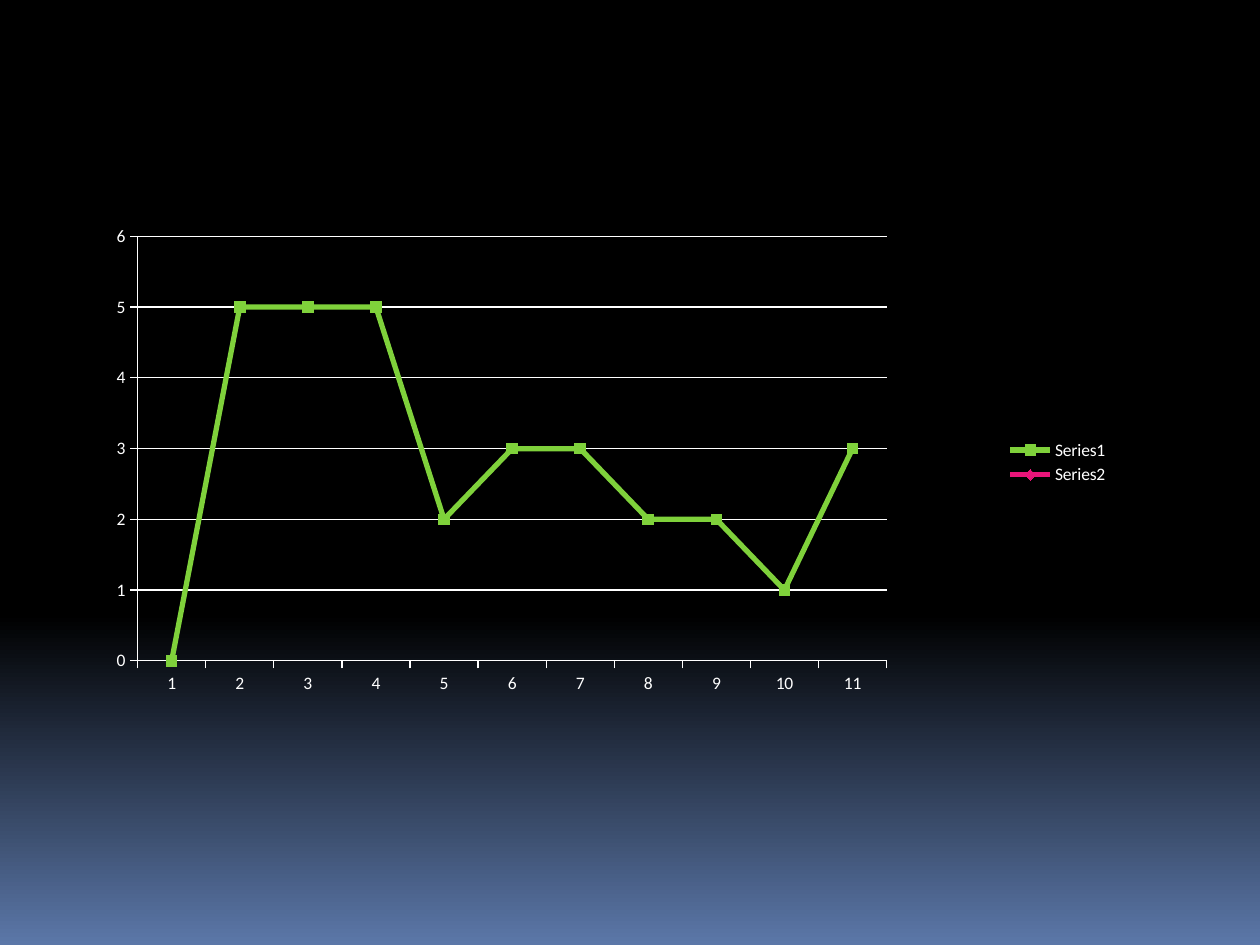
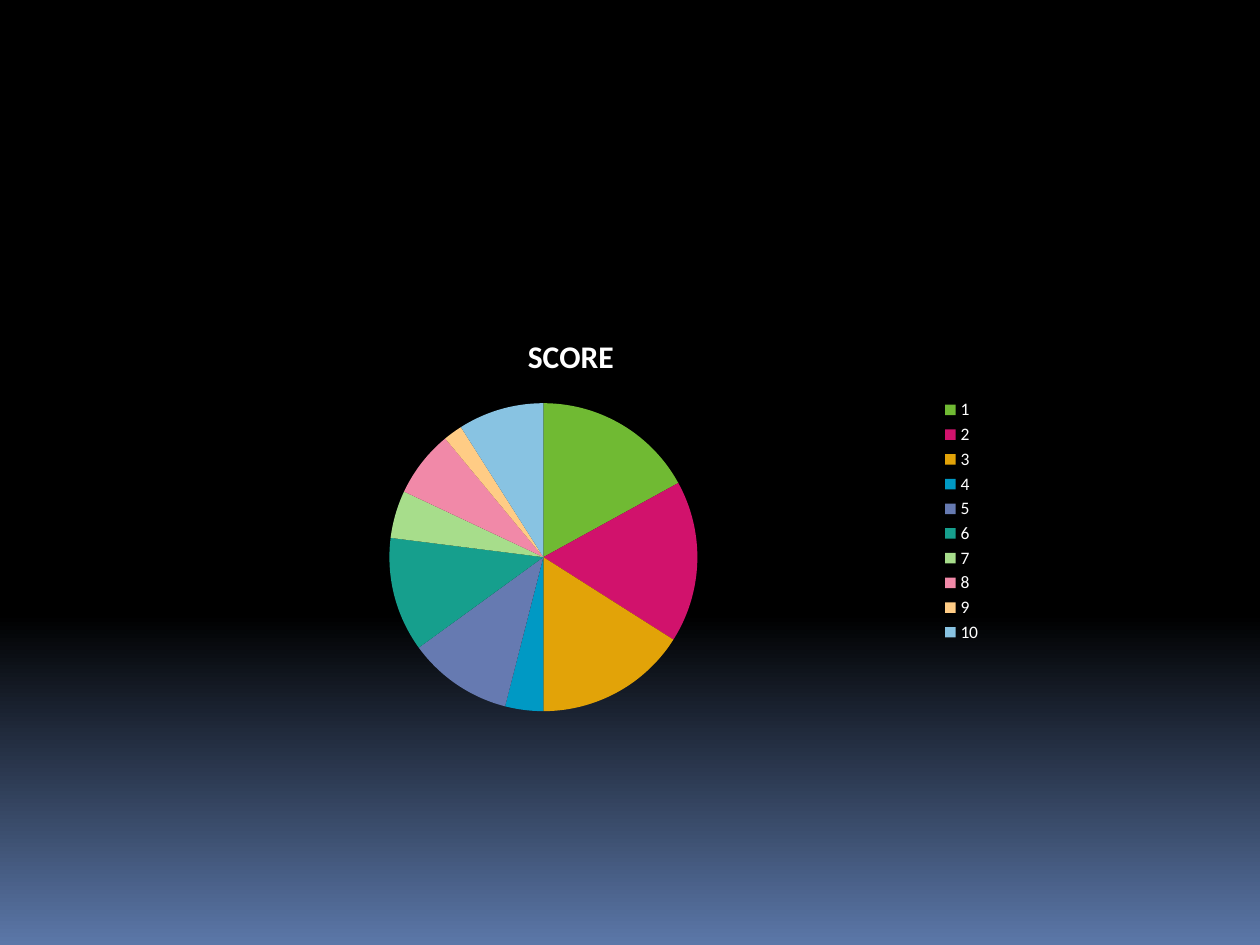
from dataclasses import dataclass
from typing import Any

from lxml.etree import SubElement
from pptx import Presentation
from pptx.chart.data import CategoryChartData as ChartData
from pptx.dml.color import RGBColor
from pptx.enum.chart import XL_CHART_TYPE as ChartType
from pptx.enum.chart import XL_LEGEND_POSITION as LegendSide
from pptx.enum.chart import XL_MARKER_STYLE as Marker
from pptx.enum.chart import XL_TICK_MARK as Tick
from pptx.oxml.ns import qn
from pptx.util import Inches, Pt

WIDTH, HEIGHT = Inches(10), Inches(7.5)
COLORS = {
    "black": "000000", "dusk": "5B77A8", "text": "FFFFFF",
    "lime": "7FD13B", "magenta": "EA157A",
}
SLICES = ["70BA33", "D1126C", "E2A308", "0099C4", "667AB1",
          "169F8D", "A7DD8B", "F189A8", "FFCC85", "88C3E2"]
FONT = {"name": "Calibri", "size": Pt(10), "bold": False}
TITLE_FONT = FONT | {"size": Pt(18), "bold": True}
PLOT_SHARES = {"x": 0.057, "y": 0.075, "w": 0.718, "h": 0.798}


@dataclass(frozen=True)
class Series:
    name: str
    values: list[int | None]
    color: str = ""
    marker: Any = None


@dataclass(frozen=True)
class ChartBox:
    """A chart and its place, in shares of the slide's size."""
    kind: Any
    left: float
    top: float
    width: float
    height: float
    series: list[Series]


TREND = ChartBox(ChartType.LINE_MARKERS, 0.062, 0.208, 0.828, 0.563, [
    Series("Series1", [0, 5, 5, 5, 2, 3, 3, 2, 2, 1, 3], "lime", Marker.SQUARE),
    Series("Series2", [None] * 11, "magenta", Marker.DIAMOND),
])
SCORE = ChartBox(ChartType.PIE, 0.117, 0.332, 0.672, 0.439, [
    Series("SCORE", [17, 17, 16, 4, 11, 12, 5, 7, 2, 9]),
])


def rgb(color: str) -> RGBColor:
    return RGBColor.from_string(COLORS.get(color, color))


def apply(target: Any, formats: dict[str, Any]) -> None:
    for key, value in formats.items():
        setattr(target, key, value)


def style_font(font: Any, formats: dict[str, Any]) -> None:
    apply(font, formats)
    font.color.rgb = rgb("text")


def paint(fill: Any, color: str) -> None:
    fill.solid()
    fill.fore_color.rgb = rgb(color)


def style_line(line: Any, color: str, width: float) -> None:
    paint(line.fill, color)
    line.width = Pt(width)


def add_page(deck: Any) -> Any:
    """Add a blank slide that fades from black to dusk blue at the foot."""
    page = deck.slides.add_slide(deck.slide_layouts[6])
    fill = page.background.fill
    fill.gradient()
    fill.gradient_angle = 270
    for stop, color, position in zip(fill.gradient_stops, ("black", "dusk"), (0.65, 1)):
        stop.color.rgb = rgb(color)
        stop.position = position
    return page


def add_chart(page: Any, box: ChartBox) -> Any:
    data = ChartData()
    data.categories = [str(i + 1) for i in range(len(box.series[0].values))]
    for series in box.series:
        data.add_series(series.name, series.values)
    chart = page.shapes.add_chart(
        box.kind, int(box.left * WIDTH), int(box.top * HEIGHT),
        int(box.width * WIDTH), int(box.height * HEIGHT), data).chart
    style_font(chart.font, FONT)
    chart.has_title = False
    chart.has_legend = True
    apply(chart.legend, {"position": LegendSide.RIGHT, "include_in_layout": False})
    return chart


def place_plot(chart: Any, shares: dict[str, float]) -> None:
    """Fix the inner plot area, in shares of the chart's size."""
    area = chart._chartSpace.chart.plotArea
    for old in area.findall(qn("c:layout")):
        area.remove(old)
    layout = SubElement(area, qn("c:layout"))
    area.insert(0, layout)
    manual = SubElement(layout, qn("c:manualLayout"))
    settings = {"layoutTarget": "inner", "xMode": "edge", "yMode": "edge"} | shares
    for tag, value in settings.items():
        SubElement(manual, qn(f"c:{tag}")).set("val", str(value))


def build_trend(deck: Any) -> None:
    chart = add_chart(add_page(deck), TREND)
    place_plot(chart, PLOT_SHARES)
    for axis in (chart.category_axis, chart.value_axis):
        axis.major_tick_mark = Tick.OUTSIDE
        style_line(axis.format.line, "text", 0.75)
    apply(chart.value_axis, {"minimum_scale": 0, "maximum_scale": 6,
                             "major_unit": 1, "has_major_gridlines": True})
    style_line(chart.value_axis.major_gridlines.format.line, "text", 0.75)
    for line, series in zip(chart.plots[0].series, TREND.series):
        line.smooth = False
        style_line(line.format.line, series.color, 3)
        apply(line.marker, {"style": series.marker, "size": 6})
        paint(line.marker.format.fill, series.color)
        line.marker.format.line.fill.background()


def build_score(deck: Any) -> None:
    chart = add_chart(add_page(deck), SCORE)
    chart.has_title = True
    frame = chart.chart_title.text_frame
    frame.text = SCORE.series[0].name
    style_font(frame.paragraphs[0].runs[0].font, TITLE_FONT)
    chart.chart_title.include_in_layout = False
    plot = chart.plots[0]
    plot.vary_by_categories = True
    for index, color in enumerate(SLICES):
        part = plot.series[0].points[index].format
        paint(part.fill, color)
        part.line.fill.background()


def main() -> None:
    deck = Presentation()
    apply(deck, {"slide_width": WIDTH, "slide_height": HEIGHT})
    build_trend(deck)
    build_score(deck)
    deck.save("out.pptx")


if __name__ == "__main__":
    main()
